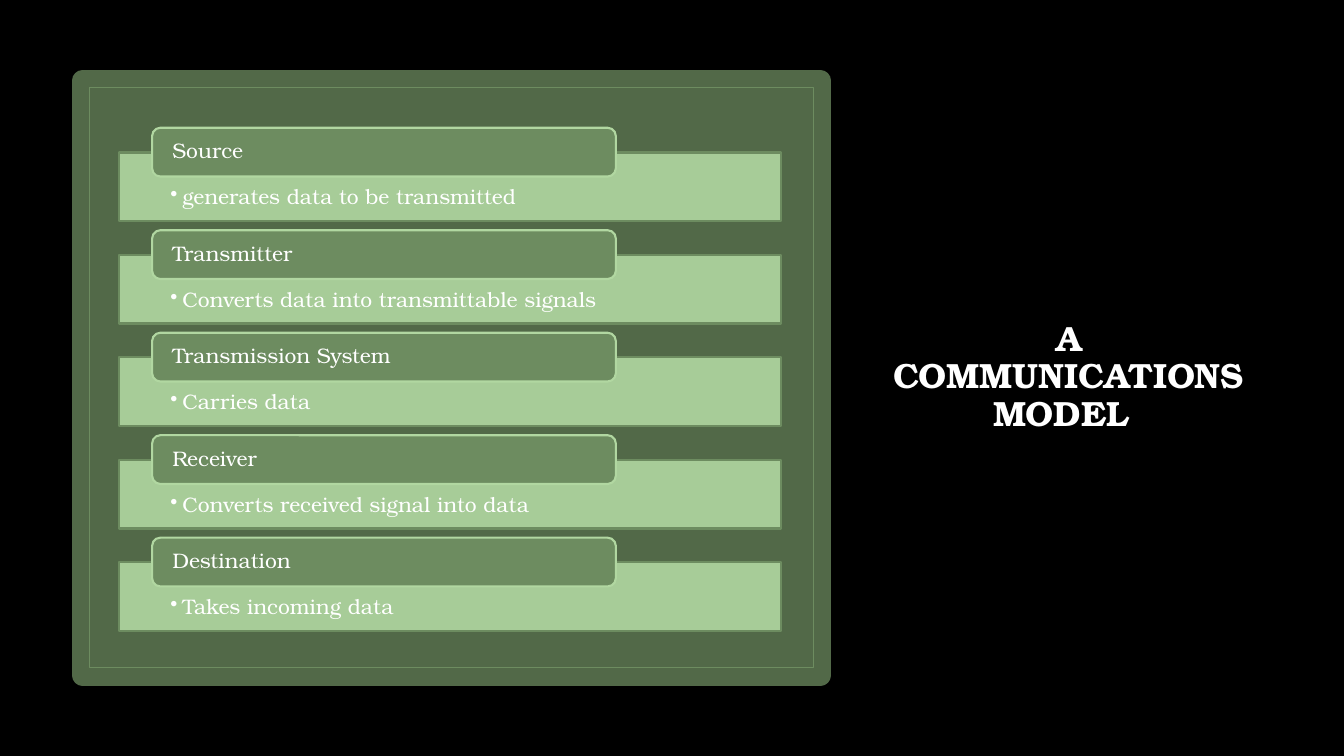
from dataclasses import dataclass

from lxml import etree
from pptx import Presentation
from pptx.dml.color import RGBColor
from pptx.enum.shapes import MSO_SHAPE
from pptx.enum.text import MSO_ANCHOR, PP_ALIGN
from pptx.oxml.ns import qn
from pptx.util import Pt

RECTANGLE = MSO_SHAPE.RECTANGLE
ROUNDED = MSO_SHAPE.ROUNDED_RECTANGLE
TOP, MIDDLE = MSO_ANCHOR.TOP, MSO_ANCHOR.MIDDLE
LEFT, CENTER = PP_ALIGN.LEFT, PP_ALIGN.CENTER


@dataclass(frozen=True)
class Theme:
    font: str = "TeX Gyre Bonum"
    title_size: int = 25
    body_size: int = 15
    background: str = "000000"
    panel: str = "526948"
    header: str = "6D8C60"
    bar: str = "B1D7A1"
    text: str = "FFFFFF"


STAGES = [
    ("Source", "generates data to be transmitted"),
    ("Transmitter", "Converts data into transmittable signals"),
    ("Transmission System", "Carries data"),
    ("Receiver", "Converts received signal into data"),
    ("Destination", "Takes incoming data"),
]
FIRST_BAR_TOP = 108.9
STAGE_PITCH = 73.2
HEADER_RISE = 17.6
BULLET_INDENT = 8.64


def write_text(shape, text, theme, size, bold=False, align=LEFT, anchor=MIDDLE,
               insets=(7.2, 3.6, 7.2, 3.6), bullet=False):
    frame = shape.text_frame
    frame.word_wrap = True
    frame.vertical_anchor = anchor
    (frame.margin_left, frame.margin_top,
     frame.margin_right, frame.margin_bottom) = map(Pt, insets)
    paragraph = frame.paragraphs[0]
    paragraph.alignment = align
    paragraph.line_spacing = 0.9
    run = paragraph.add_run()
    run.text = text
    run.font.name = theme.font
    run.font.size = Pt(size)
    run.font.bold = bold
    run.font.color.rgb = RGBColor.from_string(theme.text)
    if bullet:
        properties = paragraph._p.get_or_add_pPr()
        properties.set("marL", str(Pt(BULLET_INDENT)))
        properties.set("indent", str(-Pt(BULLET_INDENT)))
        etree.SubElement(properties, qn("a:buChar")).set("char", "•")


class SlideBuilder:
    def __init__(self, slide, theme):
        self.slide = slide
        self.theme = theme
        fill = slide.background.fill
        fill.solid()
        fill.fore_color.rgb = RGBColor.from_string(theme.background)

    def box(self, kind, bounds, line, line_width, fill=None, opacity=100):
        shape = self.slide.shapes.add_shape(kind, *map(Pt, bounds))
        shape.shadow.inherit = False
        shape.line.color.rgb = RGBColor.from_string(line)
        shape.line.width = Pt(line_width)
        if fill is None:
            shape.fill.background()
            return shape
        shape.fill.solid()
        shape.fill.fore_color.rgb = RGBColor.from_string(fill)
        if opacity < 100:
            color = shape._element.spPr.find(qn("a:solidFill"))[0]
            etree.SubElement(color, qn("a:alpha")).set("val", str(opacity * 1000))
        return shape

    def title(self, text, bounds):
        box = self.slide.shapes.add_textbox(*map(Pt, bounds))
        write_text(box, text, self.theme, self.theme.title_size, bold=True, align=CENTER)

    def panel(self):
        theme = self.theme
        self.box(RECTANGLE, (59, 57.6, 527, 424.8), theme.panel, 15, theme.panel)
        self.box(RECTANGLE, (64.1, 62.7, 517, 414), theme.header, 1)

    def stage(self, name, description, top):
        theme = self.theme
        bar = self.box(RECTANGLE, (85, top, 473, 49), theme.header, 1.5, theme.bar, 90)
        write_text(bar, description, theme, theme.body_size, anchor=TOP,
                   insets=(36.7, 24.5, 36.7, 8.6), bullet=True)
        header = self.box(ROUNDED, (108.7, top - HEADER_RISE, 331.2, 34.8),
                          theme.bar, 1.5, theme.header)
        write_text(header, name, theme, theme.body_size, insets=(12.7, 0, 12.7, 0))


def main():
    presentation = Presentation()
    presentation.slide_width, presentation.slide_height = Pt(960), Pt(540)
    slide = presentation.slides.add_slide(presentation.slide_layouts[6])
    builder = SlideBuilder(slide, Theme())
    builder.title("A COMMUNICATIONS MODEL\t", (620, 49.7, 286.6, 440))
    builder.panel()
    for index, (name, description) in enumerate(STAGES):
        builder.stage(name, description, FIRST_BAR_TOP + index * STAGE_PITCH)
    presentation.save("out.pptx")


if __name__ == "__main__":
    main()
